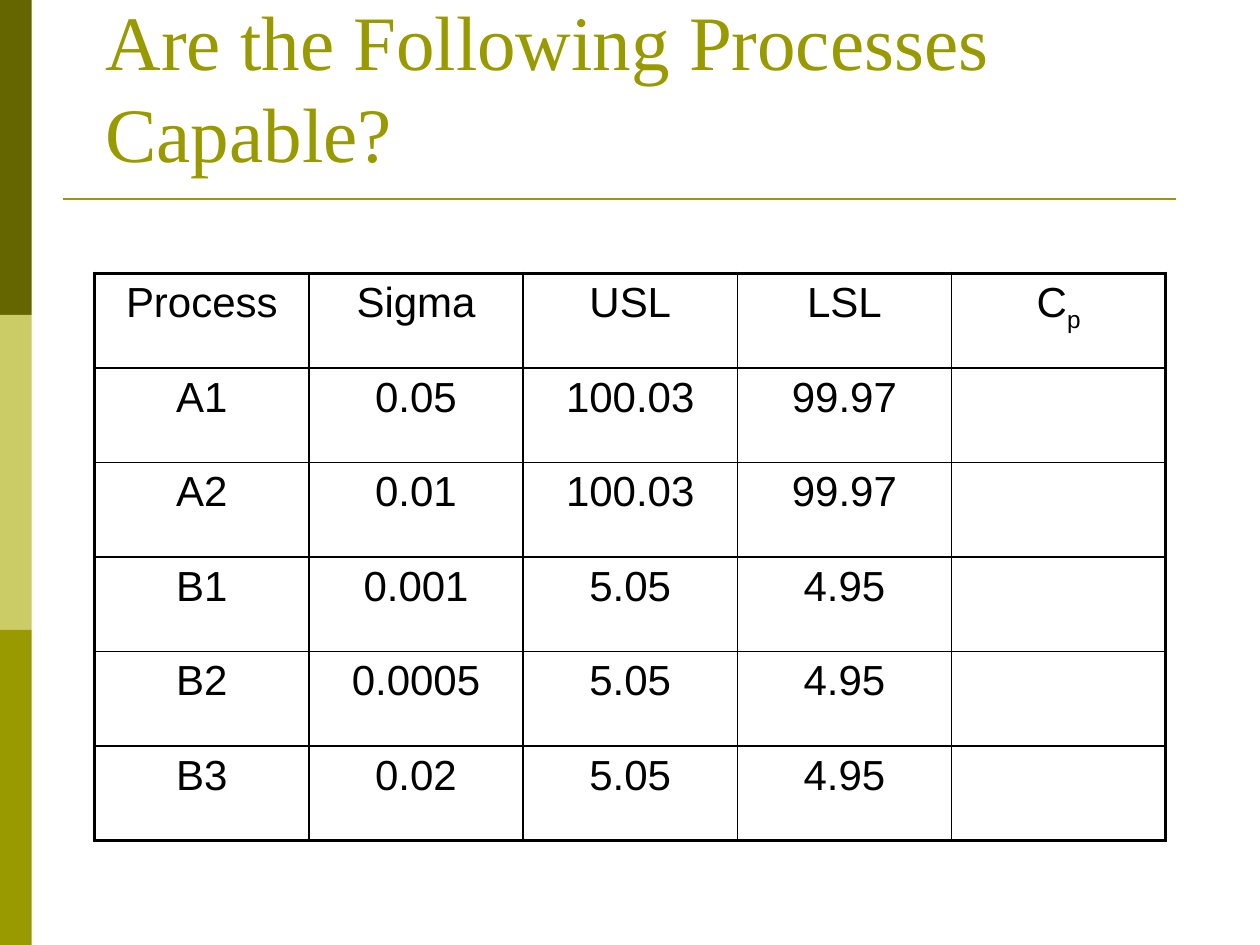
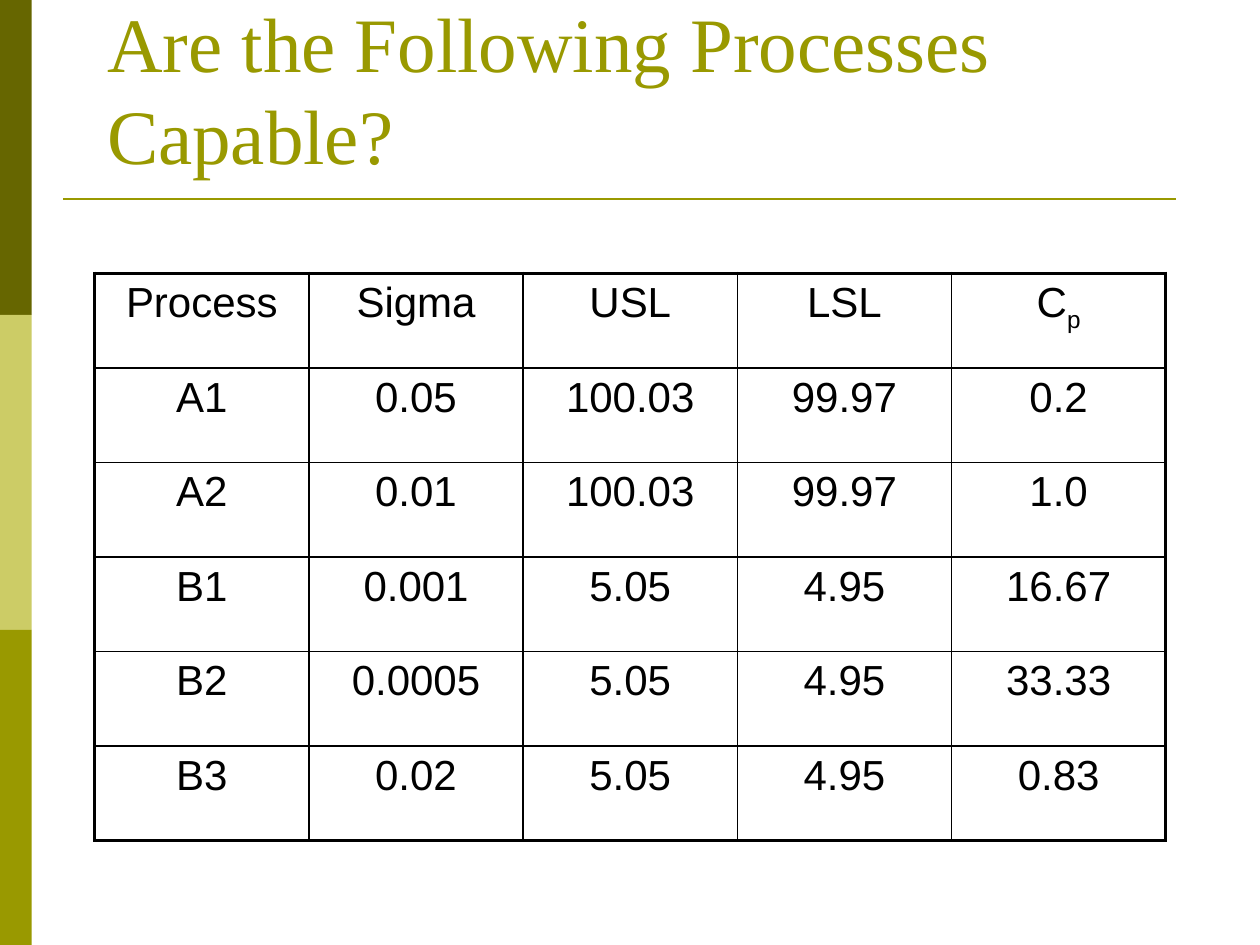
import pptx
import pptx.util
import pptx.dml.color
import pptx.enum.shapes
import pptx.enum.text
import pptx.oxml.ns
from dataclasses import dataclass
from lxml import etree

TITLE = "Are the Following Processes Capable?"
HEAD = ("Process", "Sigma", "USL", "LSL", "C_p")
DATA = [
    ("A1", "0.05", "100.03", "99.97"),
    ("A2", "0.01", "100.03", "99.97"),
    ("B1", "0.001", "5.05", "4.95"),
    ("B2", "0.0005", "5.05", "4.95"),
    ("B3", "0.02", "5.05", "4.95"),
]
SLIDES = [
    {"spot": (1.88, 2.67, 22.78, 1.04), "cp": [""] * len(DATA)},
    {"spot": (1.91, 2.74, 22.78, 1.02),
     "cp": ["0.2", "1.0", "16.67", "33.33", "0.83"]},
]
GRID = (1.91, 5.51, 21.59, 11.43)
RULE = (1.27, 4.01, 23.7, 4.01)
WIDE, HIGH, BAND = 25.4, 19.05, 0.64

Cm = pptx.util.Cm
Pt = pptx.util.Pt
ALIGN = pptx.enum.text.PP_ALIGN


@dataclass(frozen=True)
class Theme:
    olive: str = "999900"
    bands: tuple = ("666600", "CCCC66", "999900")
    ink: str = "000000"
    serif: str = "Times New Roman"
    sans: str = "Arial"
    title: float = 44
    body: float = 24
    rule: float = 1.5
    thin: float = 1
    thick: float = 2.25


LOOK = Theme()


def tint(code):
    return pptx.dml.color.RGBColor.from_string(code)


def place(box):
    return [Cm(side) for side in box]


def write(frame, text, size=LOOK.body, font=LOOK.sans, color=LOOK.ink,
          align=ALIGN.LEFT):
    para = frame.paragraphs[0]
    para.alignment = align
    main, _, sub = text.partition("_")
    for part, base in ((main, None), (sub, "-25000")):
        if not part:
            continue
        run = para.add_run()
        run.text = part
        run.font.size = Pt(size)
        run.font.name = font
        run.font.color.rgb = tint(color)
        if base:
            run.font._element.set("baseline", base)


def edge(cell, sides):
    props = cell._tc.get_or_add_tcPr()
    qn = pptx.oxml.ns.qn
    for spot, (side, width) in enumerate(sides.items()):
        line = etree.Element(qn("a:ln" + side), w=str(Pt(width)))
        fill = etree.SubElement(line, qn("a:solidFill"))
        etree.SubElement(fill, qn("a:srgbClr"), val=LOOK.ink)
        props.insert(spot, line)


def frame(slide):
    step = HIGH / len(LOOK.bands)
    for row, color in enumerate(LOOK.bands):
        band = slide.shapes.add_shape(
            pptx.enum.shapes.MSO_SHAPE.RECTANGLE,
            *place((0, row * step, BAND, step)))
        band.shadow.inherit = False
        band.fill.solid()
        band.fill.fore_color.rgb = tint(color)
        band.line.fill.background()
    rule = slide.shapes.add_connector(
        pptx.enum.shapes.MSO_CONNECTOR.STRAIGHT, *place(RULE))
    rule.line.color.rgb = tint(LOOK.olive)
    rule.line.width = Pt(LOOK.rule)
    etree.SubElement(rule._element.spPr, pptx.oxml.ns.qn("a:effectLst"))


def head(slide, spot):
    text = slide.shapes.add_textbox(*place(spot)).text_frame
    text.word_wrap = True
    text.vertical_anchor = pptx.enum.text.MSO_ANCHOR.BOTTOM
    write(text, TITLE, size=LOOK.title, font=LOOK.serif, color=LOOK.olive)


def grid(slide, rows):
    tall, wide = len(rows), len(rows[0])
    table = slide.shapes.add_table(tall, wide, *place(GRID)).table
    table.first_row = table.horz_banding = False
    for r, row in enumerate(rows):
        for c, text in enumerate(row):
            cell = table.cell(r, c)
            cell.fill.background()
            write(cell.text_frame, text, align=ALIGN.CENTER)
            outer = {"L": c == 0, "R": c == wide - 1,
                     "T": r == 0, "B": r == tall - 1}
            edge(cell, {side: LOOK.thick if rim else LOOK.thin
                        for side, rim in outer.items()})


def main():
    deck = pptx.Presentation()
    deck.slide_width, deck.slide_height = Cm(WIDE), Cm(HIGH)
    for page in SLIDES:
        slide = deck.slides.add_slide(deck.slide_layouts[6])
        frame(slide)
        head(slide, page["spot"])
        grid(slide, [HEAD] + [row + (cp,) for row, cp in zip(DATA, page["cp"])])
    deck.save("out.pptx")


if __name__ == "__main__":
    main()
